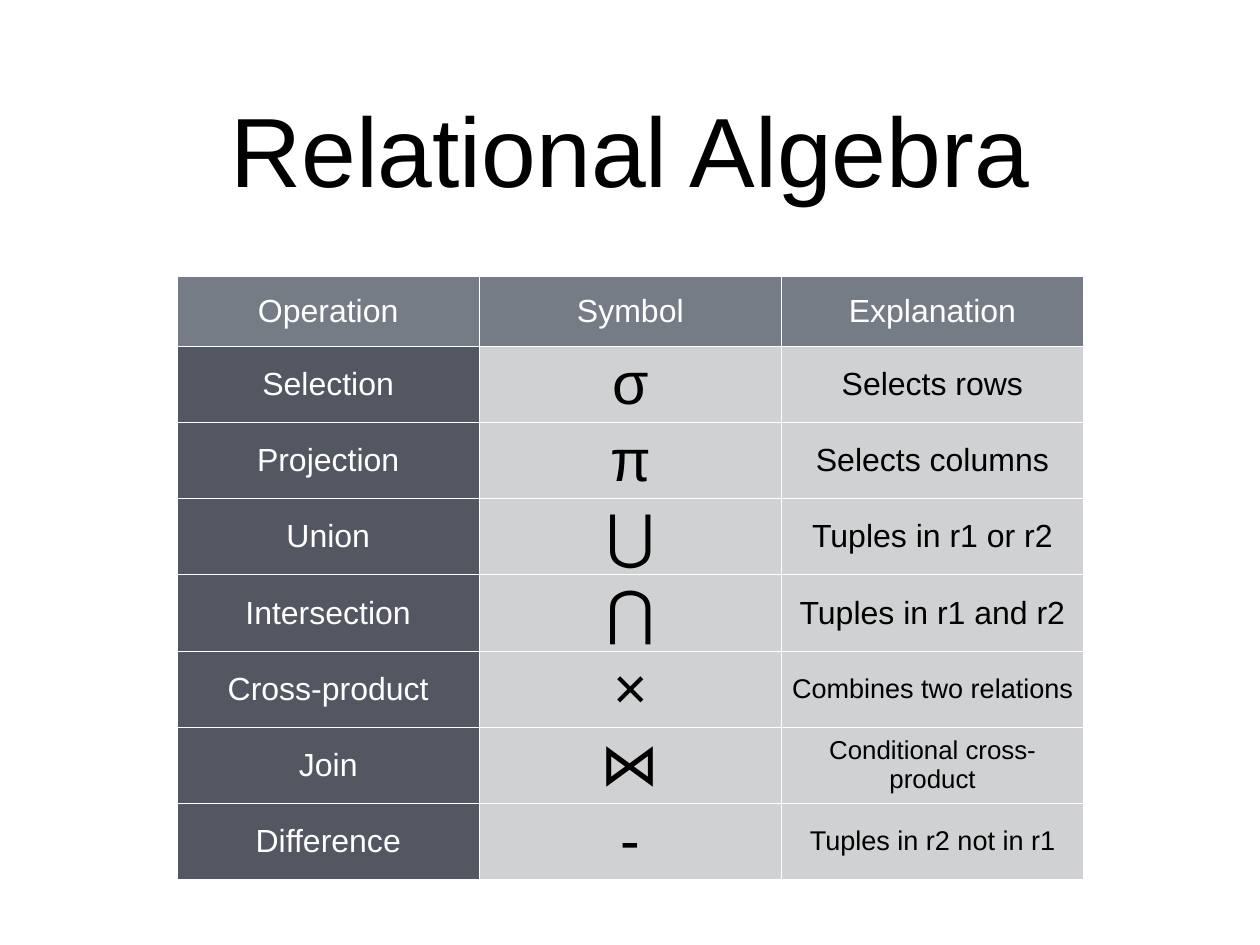
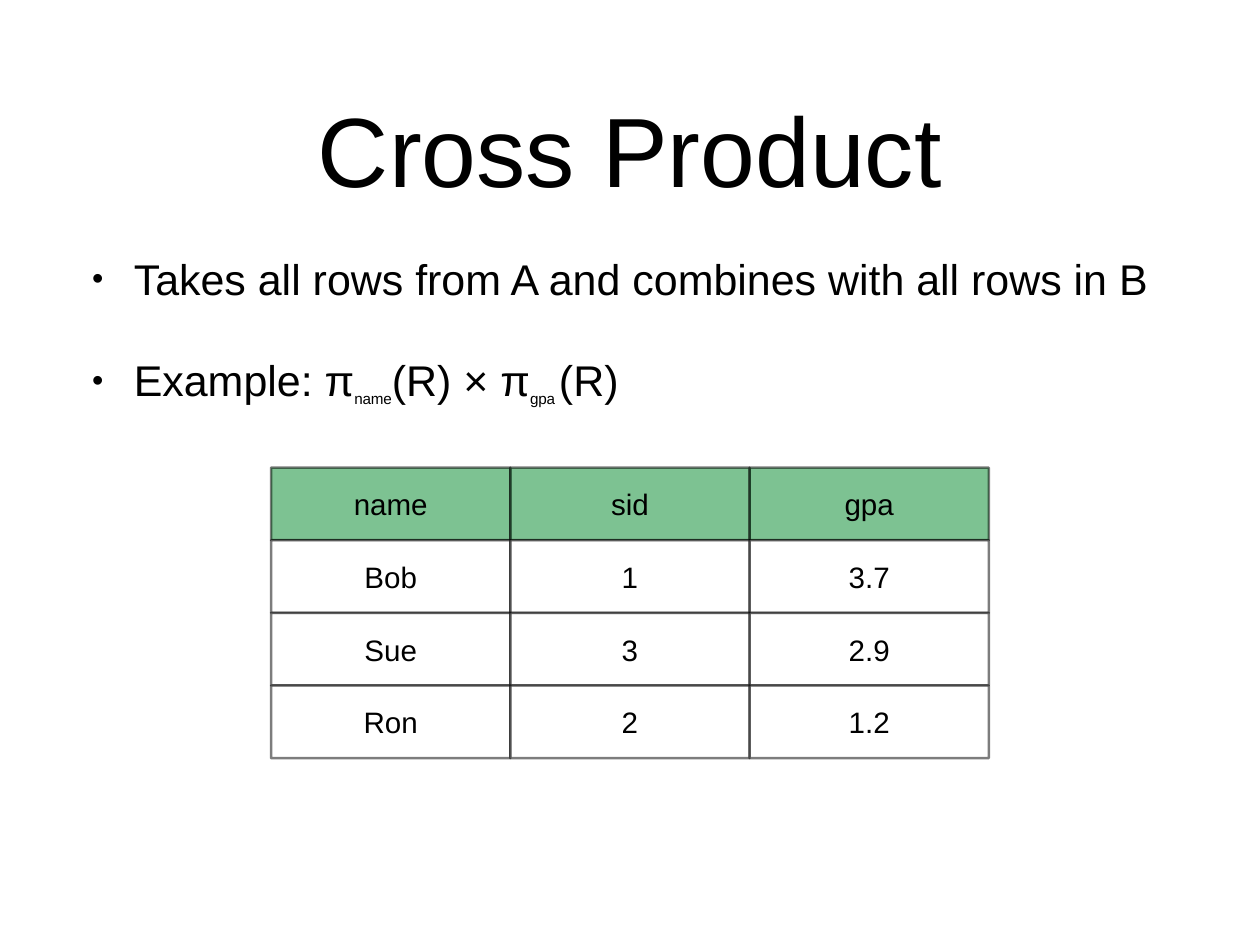
from dataclasses import dataclass

from lxml import etree
from pptx import Presentation
from pptx.dml.color import RGBColor
from pptx.enum.shapes import MSO_SHAPE
from pptx.enum.text import MSO_ANCHOR, PP_ALIGN
from pptx.oxml.ns import qn
from pptx.util import Inches, Pt

CENTER = PP_ALIGN.CENTER
LEFT = PP_ALIGN.LEFT
MIDDLE = MSO_ANCHOR.MIDDLE
TOP = MSO_ANCHOR.TOP
RECTANGLE = MSO_SHAPE.RECTANGLE
BLANK_LAYOUT = 6


@dataclass(frozen=True)
class Theme:
    font: str = "Arial"
    black: str = "000000"
    white: str = "FFFFFF"
    header_gray: str = "767C85"
    label_gray: str = "535761"
    cell_gray: str = "D0D1D2"
    header_green: str = "00882B"
    opacity: int = 51
    title_size: float = 80
    body_size: float = 34.9
    subscript_size: float = 21.3
    symbol_size: float = 48
    table_size: float = 26
    data_size: float = 24


THEME = Theme()

OPERATIONS = [
    ("Selection", "σ", "Selects rows", 26),
    ("Projection", "π", "Selects columns", 26),
    ("Union", "⋃", "Tuples in r1 or r2", 26),
    ("Intersection", "⋂", "Tuples in r1 and r2", 26),
    ("Cross-product", "×", "Combines two relations", 22),
    ("Join", "⋈", "Conditional cross-product", 21),
    ("Difference", "-", "Tuples in r2 not in r1", 22),
]

STUDENTS = [
    ("name", "sid", "gpa"),
    ("Bob", "1", "3.7"),
    ("Sue", "3", "2.9"),
    ("Ron", "2", "1.2"),
]


def write_text(paragraph, text, size, color=THEME.black, align=CENTER, subscript=False):
    paragraph.alignment = align
    run = paragraph.add_run()
    run.text = text
    run.font.name = THEME.font
    run.font.size = Pt(size)
    run.font.color.rgb = RGBColor.from_string(color)
    if subscript:
        properties = run._r.get_or_add_rPr()
        properties.set("baseline", "-33000")
        properties.set("spc", "-20")


def prepare_frame(shape, anchor):
    frame = shape.text_frame
    frame.word_wrap = True
    frame.vertical_anchor = anchor
    frame.margin_left = frame.margin_right = frame.margin_top = frame.margin_bottom = 0
    return frame


def add_text_frame(slide, left, top, width, height, anchor):
    box = slide.shapes.add_textbox(Inches(left), Inches(top), Inches(width), Inches(height))
    return prepare_frame(box, anchor)


def add_title_slide(presentation, title):
    slide = presentation.slides.add_slide(presentation.slide_layouts[BLANK_LAYOUT])
    frame = add_text_frame(slide, 1.04, 0.49, 12.14, 2.36, MIDDLE)
    write_text(frame.paragraphs[0], title, THEME.title_size)
    return slide


def format_bullet(paragraph):
    paragraph.space_before = Pt(40)
    properties = paragraph._p.get_or_add_pPr()
    properties.set("marL", str(Inches(0.47)))
    properties.set("indent", str(-Inches(0.47)))
    etree.SubElement(properties, qn("a:buSzPct"), val="75000")
    etree.SubElement(properties, qn("a:buFont"), typeface=THEME.font)
    etree.SubElement(properties, qn("a:buChar"), char="•")


def add_bullets(slide, bullets):
    frame = add_text_frame(slide, 1.04, 2.85, 12.14, 2.12, TOP)
    for index, runs in enumerate(bullets):
        paragraph = frame.add_paragraph() if index else frame.paragraphs[0]
        format_bullet(paragraph)
        for text, subscript in runs:
            size = THEME.subscript_size if subscript else THEME.body_size
            write_text(paragraph, text, size, align=LEFT, subscript=subscript)


def add_borders(cell, color, width):
    properties = cell._tc.get_or_add_tcPr()
    for side in "LRTB":
        line = etree.SubElement(properties, qn(f"a:ln{side}"), w=str(Pt(width)))
        fill = etree.SubElement(line, qn("a:solidFill"))
        etree.SubElement(fill, qn("a:srgbClr"), val=color)


def add_table(slide, left, top, column_width, row_height, rows):
    row_count, column_count = len(rows), len(rows[0])
    table = slide.shapes.add_table(
        row_count, column_count, Inches(left), Inches(top),
        Inches(column_width * column_count), Inches(row_height * row_count),
    ).table
    table.first_row = table.horz_banding = False
    for column in table.columns:
        column.width = Inches(column_width)
    for row_index, row in enumerate(rows):
        table.rows[row_index].height = Inches(row_height)
        for column_index, (text, size, color, fill) in enumerate(row):
            cell = table.cell(row_index, column_index)
            cell.vertical_anchor = MIDDLE
            cell.margin_left = cell.margin_right = Inches(0.06)
            cell.margin_top = cell.margin_bottom = Inches(0.03)
            add_borders(cell, THEME.white, 1)
            cell.fill.solid()
            cell.fill.fore_color.rgb = RGBColor.from_string(fill)
            write_text(cell.text_frame.paragraphs[0], text, size, color)


def set_translucent(fill, color):
    fill.solid()
    fill.fore_color.rgb = RGBColor.from_string(color)
    color_element = fill._xPr.find(qn("a:solidFill")).find(qn("a:srgbClr"))
    etree.SubElement(color_element, qn("a:alpha"), val=str(THEME.opacity * 1000))


def add_data_box(slide, left, top, width, height, text, color):
    box = slide.shapes.add_shape(
        RECTANGLE, Inches(left), Inches(top), Inches(width), Inches(height)
    )
    box.shadow.inherit = False
    set_translucent(box.fill, color)
    set_translucent(box.line.fill, THEME.black)
    box.line.width = Pt(2)
    write_text(prepare_frame(box, MIDDLE).paragraphs[0], text, THEME.data_size)


def build_relational_algebra(presentation):
    slide = add_title_slide(presentation, "Relational Algebra")
    rows = [[
        (heading, THEME.table_size, THEME.white, THEME.header_gray)
        for heading in ("Operation", "Symbol", "Explanation")
    ]]
    for operation, symbol, explanation, size in OPERATIONS:
        rows.append([
            (operation, THEME.table_size, THEME.white, THEME.label_gray),
            (symbol, THEME.symbol_size, THEME.black, THEME.cell_gray),
            (explanation, size, THEME.black, THEME.cell_gray),
        ])
    add_table(slide, 2, 3.12, 3.41, 0.79, rows)


def build_cross_product(presentation):
    slide = add_title_slide(presentation, "Cross Product")
    add_bullets(slide, [
        [("Takes all rows from A and combines with all rows in B", False)],
        [
            ("Example: π", False),
            ("name", True),
            ("(R) × π", False),
            ("gpa ", True),
            ("(R)", False),
        ],
    ])
    width, height = 2.7, 0.82
    for row_index, student in enumerate(STUDENTS):
        color = THEME.white if row_index else THEME.header_green
        for column_index, text in enumerate(student):
            left = 3.06 + column_index * width
            top = 5.28 + row_index * height
            add_data_box(slide, left, top, width, height, text, color)


def main():
    presentation = Presentation()
    presentation.slide_width = Inches(14.22)
    presentation.slide_height = Inches(10.67)
    build_relational_algebra(presentation)
    build_cross_product(presentation)
    presentation.save("out.pptx")


if __name__ == "__main__":
    main()
